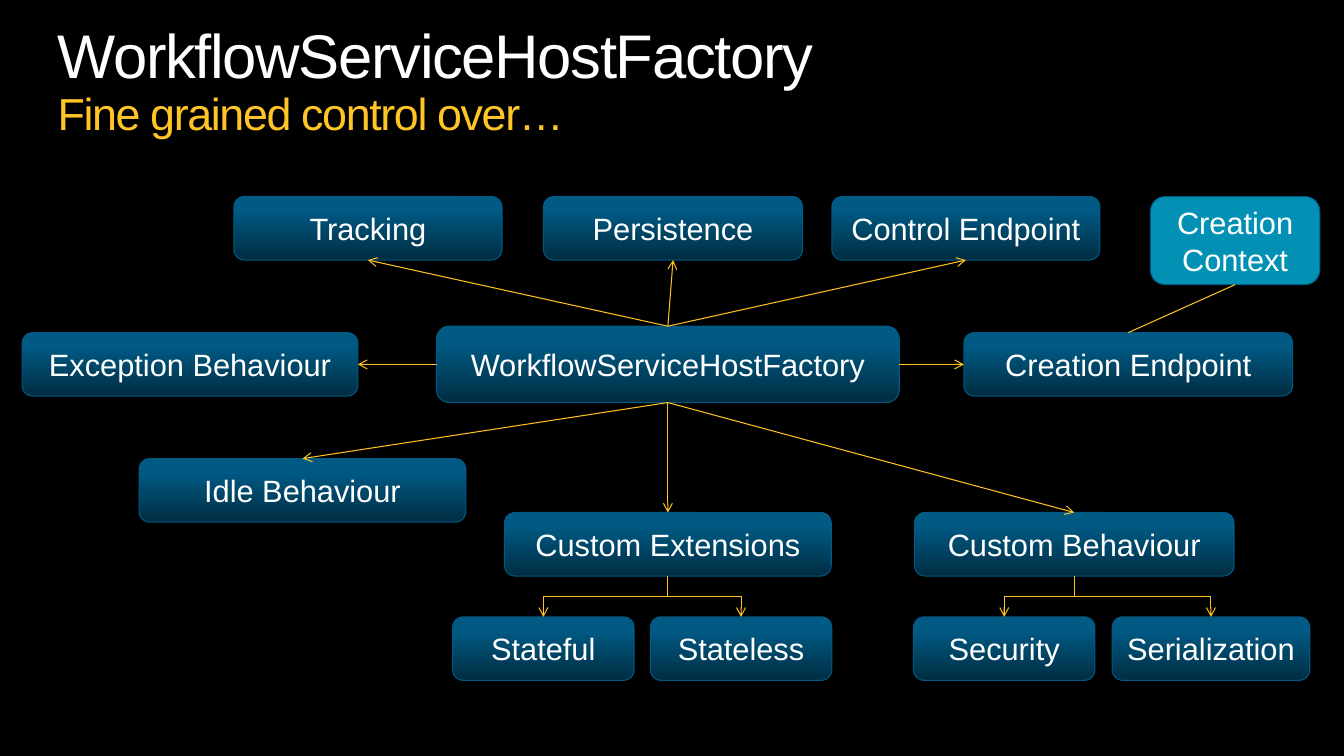
from collections import namedtuple

from lxml import etree
from pptx import Presentation
from pptx import util as u
from pptx.dml.color import RGBColor
from pptx.enum import shapes, text
from pptx.oxml.ns import qn

Box = namedtuple("Box", "left top width height")
COLOURS = {
    "background": "000000",
    "text": "FFFFFF",
    "subtitle": "FFC425",
    "arrow": "FFC21F",
    "node_dark": "002D42",
    "node": "005A84",
    "context": "0291B5",
}
FONT = "Arial"
NODE_HEIGHT = 8.4
TOP, BOTTOM, LEFT, RIGHT = 0, 2, 1, 3

ROWS = {
    26: {"Tracking": (17.4, 19.95), "Persistence": (40.44, 19.28),
         "Control Endpoint": (61.89, 19.95)},
    44: {"Exception Behaviour": (1.65, 24.98), "Creation Endpoint": (71.72, 24.46)},
    60.67: {"Idle Behaviour": (10.35, 24.31)},
    67.8: {"Custom Extensions": (37.54, 24.31), "Custom Behaviour": (68.04, 23.78)},
    81.6: {"Stateful": (33.68, 13.5), "Stateless": (48.39, 13.5),
           "Security": (67.97, 13.5), "Serialization": (82.75, 14.7)},
}
HOST = "WorkflowServiceHostFactory"
SPOKES = [
    ("Tracking", TOP, BOTTOM),
    ("Persistence", TOP, BOTTOM),
    ("Control Endpoint", TOP, BOTTOM),
    ("Exception Behaviour", LEFT, RIGHT),
    ("Creation Endpoint", RIGHT, LEFT),
    ("Idle Behaviour", BOTTOM, TOP),
    ("Custom Extensions", BOTTOM, TOP),
    ("Custom Behaviour", BOTTOM, TOP),
]
BRANCHES = {
    "Custom Extensions": ("Stateful", "Stateless"),
    "Custom Behaviour": ("Security", "Serialization"),
}


def colour(name):
    """Return the named colour."""
    return RGBColor.from_string(COLOURS[name])


def share(box, left, top, width, height):
    """Return the part of a box given in percent of its size."""
    return Box(
        int(box.left + box.width * left / 100),
        int(box.top + box.height * top / 100),
        int(box.width * width / 100),
        int(box.height * height / 100),
    )


def set_all(target, values):
    """Set each named attribute of the target."""
    for name, value in values.items():
        setattr(target, name, value)


def add_span(para, words, size, shade):
    """Add a formatted run to a paragraph."""
    span = para.add_run()
    span.text = words
    set_all(span.font, {"size": u.Pt(size), "name": FONT})
    span.font.color.rgb = colour(shade)
    return span


def add_title(page, box):
    """Write the title and its subtitle in the box."""
    frame = page.shapes.add_textbox(*box).text_frame
    set_all(frame, {"word_wrap": True, "margin_left": 0, "margin_top": 0,
                    "margin_right": 0, "margin_bottom": 0})
    para = frame.paragraphs[0]
    para.line_spacing = 0.9
    title = add_span(para, HOST, 44, "text")
    para.add_line_break()
    subtitle = add_span(para, "Fine grained control over…", 32, "subtitle")
    for span in (title, subtitle):
        span.font._element.set("spc", "-100")


def add_node(page, box, label, plain=None):
    """Draw a labelled rounded node, shaded unless a plain colour is named."""
    node = page.shapes.add_shape(shapes.MSO_SHAPE.ROUNDED_RECTANGLE, *box)
    node.shadow.inherit = False
    if plain:
        node.fill.solid()
        node.fill.fore_color.rgb = colour(plain)
    else:
        node.fill.gradient()
        node.fill.gradient_angle = 90
        for stop, shade, position in zip(
            node.fill.gradient_stops, ("node_dark", "node"), (0, 0.8)
        ):
            stop.color.rgb = colour(shade)
            stop.position = position
    node.line.color.rgb = colour("node")
    node.line.width = u.Pt(0.75)
    set_all(node.text_frame, {"word_wrap": True,
                              "vertical_anchor": text.MSO_ANCHOR.MIDDLE})
    para = node.text_frame.paragraphs[0]
    para.alignment = text.PP_ALIGN.CENTER
    add_span(para, label, 22, "text")
    return node


def style_line(connector, arrow=True):
    """Colour a connector, drop its shadow and give it an arrowhead."""
    connector.line.color.rgb = colour("arrow")
    connector.line.width = u.Pt(0.75)
    if arrow:
        etree.SubElement(connector.get_or_add_ln(), qn("a:tailEnd"), type="arrow")
    etree.SubElement(connector.element.spPr, qn("a:effectLst"))


def add_link(page, source, source_side, target, target_side, arrow=True):
    """Join two nodes with a straight connector."""
    link = page.shapes.add_connector(shapes.MSO_CONNECTOR.STRAIGHT, 0, 0, 0, 0)
    link.begin_connect(source, source_side)
    link.end_connect(target, target_side)
    style_line(link, arrow)


def add_branch(page, parent, child):
    """Draw an elbow arrow from a parent's bottom to a child's top."""
    start_x = parent.left + parent.width // 2
    end_x = child.left + child.width // 2
    start_y = parent.top + parent.height
    length, spread = child.top - start_y, abs(end_x - start_x)
    left = (start_x + end_x - length) // 2
    top = (start_y + child.top - spread) // 2
    branch = page.shapes.add_connector(
        shapes.MSO_CONNECTOR.ELBOW, left, top, left + length, top + spread
    )
    frame = branch.element.spPr.find(qn("a:xfrm"))
    if end_x < start_x:
        frame.set("rot", "5400000")
    else:
        frame.set("rot", "16200000")
        frame.set("flipH", "1")
    style_line(branch)


def add_diagram(page, box):
    """Draw the host, the parts it controls and their links in the box."""
    host = add_node(page, share(box, 32.48, 43.15, 34.43, 10.1), HOST)
    nodes = {
        label: add_node(page, share(box, left, top, width, NODE_HEIGHT), label)
        for top, row in ROWS.items()
        for label, (left, width) in row.items()
    }
    context = add_node(
        page, share(box, 85.6, 26, 12.6, 11.65), "Creation Context", "context"
    )
    for label, host_side, node_side in SPOKES:
        add_link(page, host, host_side, nodes[label], node_side)
    for parent, children in BRANCHES.items():
        for child in children:
            add_branch(page, nodes[parent], nodes[child])
    add_link(page, nodes["Creation Endpoint"], TOP, context, BOTTOM, arrow=False)


def main():
    """Build the slide and save the deck."""
    deck = Presentation()
    set_all(deck, {"slide_width": u.Inches(13.33), "slide_height": u.Inches(7.5)})
    page = deck.slides.add_slide(deck.slide_layouts[6])
    page.background.fill.solid()
    page.background.fill.fore_color.rgb = colour("background")
    whole = Box(0, 0, deck.slide_width, deck.slide_height)
    add_title(page, share(whole, 4.28, 3.33, 91.45, 15.33))
    add_diagram(page, whole)
    deck.save("out.pptx")


if __name__ == "__main__":
    main()
